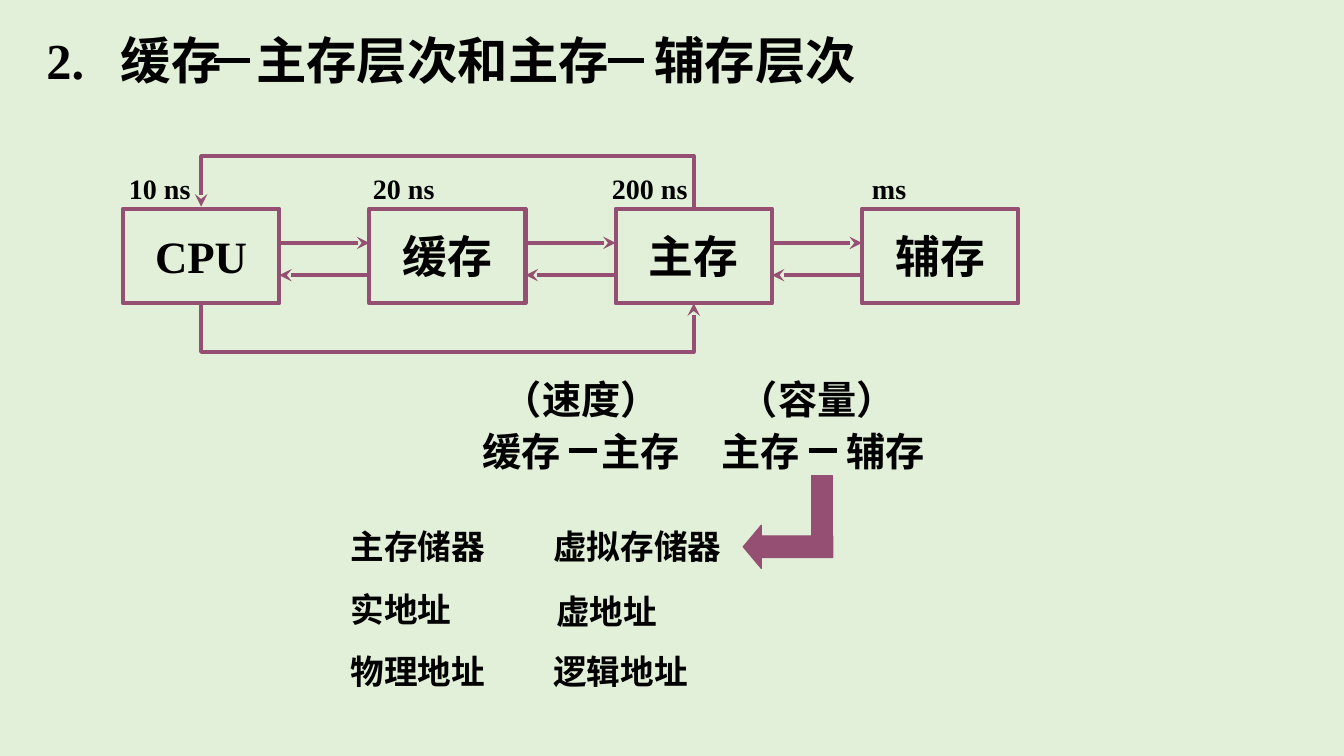
from itertools import product

from lxml import etree
from pptx import Presentation
from pptx import util as u
from pptx.dml.color import RGBColor
from pptx.enum import shapes, text
from pptx.oxml import ns

COLOURS = {"page": "E2F0D9", "plum": "954F72", "ink": "000000"}
FONT = "Times New Roman"
CELL = 0.1
BOX_LEFT, BOX_TOP, BOX_WIDTH, BOX_HEIGHT = 12.2, 20.7, 15.5, 9.4
BOX_STEP = 24.43


def grid(*cells):
    return [u.Inches(cell * CELL) for cell in cells]


def colour(name):
    return RGBColor.from_string(COLOURS[name])


def style_text(frame, size, align=text.PP_ALIGN.LEFT):
    for para in frame.paragraphs:
        para.alignment = align
        for span in para.runs:
            span.font.name = FONT
            span.font.size = u.Pt(size)
            span.font.bold = True
            span.font.color.rgb = colour("ink")


def style_line(item, name="plum", width=3, arrow=False):
    item.line.color.rgb = colour(name)
    item.line.width = u.Pt(width)
    if arrow:
        outline = item.element.spPr.find(ns.qn("a:ln"))
        etree.SubElement(outline, ns.qn("a:tailEnd"), type="stealth")


def add_title(page, words, tab_stops):
    title = page.shapes.title
    title.left, title.top, title.width, title.height = grid(3.6, 2.4, 90, 7)
    frame = title.text_frame
    frame.word_wrap = True
    frame.auto_size = text.MSO_AUTO_SIZE.NONE
    frame.vertical_anchor = text.MSO_ANCHOR.TOP
    frame.text = words
    properties = frame.paragraphs[0]._p.get_or_add_pPr()
    tabs = etree.SubElement(properties, ns.qn("a:tabLst"))
    for stop in grid(*tab_stops):
        etree.SubElement(tabs, ns.qn("a:tab"), pos=str(stop), algn="l")
    style_text(frame, 36)


def add_label(page, words, size, left, top, width, height, preset=None):
    place = grid(left, top, width, height)
    if preset is None:
        box = page.shapes.add_textbox(*place)
    else:
        box = page.shapes.add_shape(preset, *place)
        box.shadow.inherit = False
        box.fill.background()
        box.line.fill.background()
    frame = box.text_frame
    frame.word_wrap = False
    frame.auto_size = text.MSO_AUTO_SIZE.SHAPE_TO_FIT_TEXT
    frame.vertical_anchor = text.MSO_ANCHOR.TOP
    frame.text = words
    style_text(frame, size)


def add_box(page, words, left):
    box = page.shapes.add_shape(
        shapes.MSO_SHAPE.RECTANGLE, *grid(left, BOX_TOP, BOX_WIDTH, BOX_HEIGHT))
    box.shadow.inherit = False
    box.fill.background()
    style_line(box)
    box.text_frame.text = words
    box.text_frame.vertical_anchor = text.MSO_ANCHOR.MIDDLE
    style_text(box.text_frame, 32, text.PP_ALIGN.CENTER)


def add_level_line(page, start, end, row, name="plum", arrow=False):
    line = page.shapes.add_connector(
        shapes.MSO_CONNECTOR.STRAIGHT, *grid(start, row, end, row))
    style_line(line, name, arrow=arrow)
    etree.SubElement(line.element.spPr, ns.qn("a:effectLst"))


def add_bypass(page, start, end, side, turn):
    points = [(start, side), (start, turn), (end, turn), (end, side)]
    first, *others = [grid(*point) for point in points]
    builder = page.shapes.build_freeform(*first)
    builder.add_line_segments(others, close=False)
    bypass = builder.convert_to_shape()
    bypass.shadow.inherit = False
    bypass.fill.background()
    style_line(bypass, arrow=True)


def add_solid(page, preset, *place):
    solid = page.shapes.add_shape(preset, *grid(*place))
    solid.shadow.inherit = False
    solid.fill.solid()
    solid.fill.fore_color.rgb = colour("plum")
    style_line(solid, width=0.75)
    return solid


def add_hierarchy(page):
    lefts = [BOX_LEFT + BOX_STEP * index for index in range(4)]
    for words, left in zip(("CPU", "缓存", "主存", "辅存"), lefts):
        add_box(page, words, left)
    for left, following in zip(lefts, lefts[1:]):
        right = left + BOX_WIDTH
        add_level_line(page, right, following, 24.1, arrow=True)
        add_level_line(page, following, right, 27.3, arrow=True)
    cpu, memory = (lefts[index] + BOX_WIDTH / 2 for index in (0, 2))
    add_bypass(page, cpu, memory, BOX_TOP + BOX_HEIGHT, 34.9)
    add_bypass(page, memory, cpu, BOX_TOP - 0.2, 15.5)
    times = (("10 ns", 11.8, 8.1), ("20 ns", 36, 8.1),
             ("200 ns", 59.7, 9.5), ("ms", 85.5, 5.4))
    for words, left, width in times:
        add_label(page, words, 20, left, 16.5, width, 4.3)


def add_levels(page):
    for words, left in (("（速度）", 48.9), ("（容量）", 72.3)):
        add_label(page, words, 28, left, 36.7, 17.8, 5.7)
    for words, left in (("缓存", 46.9), ("主存", 58.7), ("主存", 70.6), ("辅存", 83)):
        add_label(page, words, 28, left, 41.9, 9.9, 5.7)
    for start in (56.4, 80.2):
        add_level_line(page, start, start + 2.8, 44.7, "ink")


def add_terms(page):
    terms = (("主存储器", "虚拟存储器"), ("实地址", "虚地址"), ("物理地址", "逻辑地址"))
    for row, column in product(range(3), range(2)):
        words = terms[row][column]
        left, top = (33.8, 53.9)[column], 51.7 + 6.2 * row
        if words == "虚地址":
            add_label(page, words, 24, left, top, 13.2, 5.6,
                      shapes.MSO_SHAPE.FLOWCHART_ALTERNATE_PROCESS)
        else:
            add_label(page, words, 24, left, top, 2 + 3.35 * len(words), 5)


def add_turn_arrow(page):
    add_solid(page, shapes.MSO_SHAPE.RECTANGLE, 80.5, 47.2, 2.1, 6)
    head = add_solid(page, shapes.MSO_SHAPE.LEFT_ARROW, 73.7, 52.1, 8.9, 4.3)
    head.adjustments[0] = 0.5
    head.adjustments[1] = 0.42


def main():
    deck = Presentation()
    deck.slide_width, deck.slide_height = u.Inches(13.33), u.Inches(7.5)
    page = deck.slides.add_slide(deck.slide_layouts.get_by_name("Title Only"))
    page.background.fill.solid()
    page.background.fill.fore_color.rgb = colour("page")
    add_title(page, "2.\t缓存\t主存层次和主存\t辅存层次", (7.4, 20.8, 60.3))
    for start in (21.2, 60.3):
        add_level_line(page, start, start + 3.6, 6, "ink")
    add_hierarchy(page)
    add_levels(page)
    add_terms(page)
    add_turn_arrow(page)
    deck.save("out.pptx")


if __name__ == "__main__":
    main()
